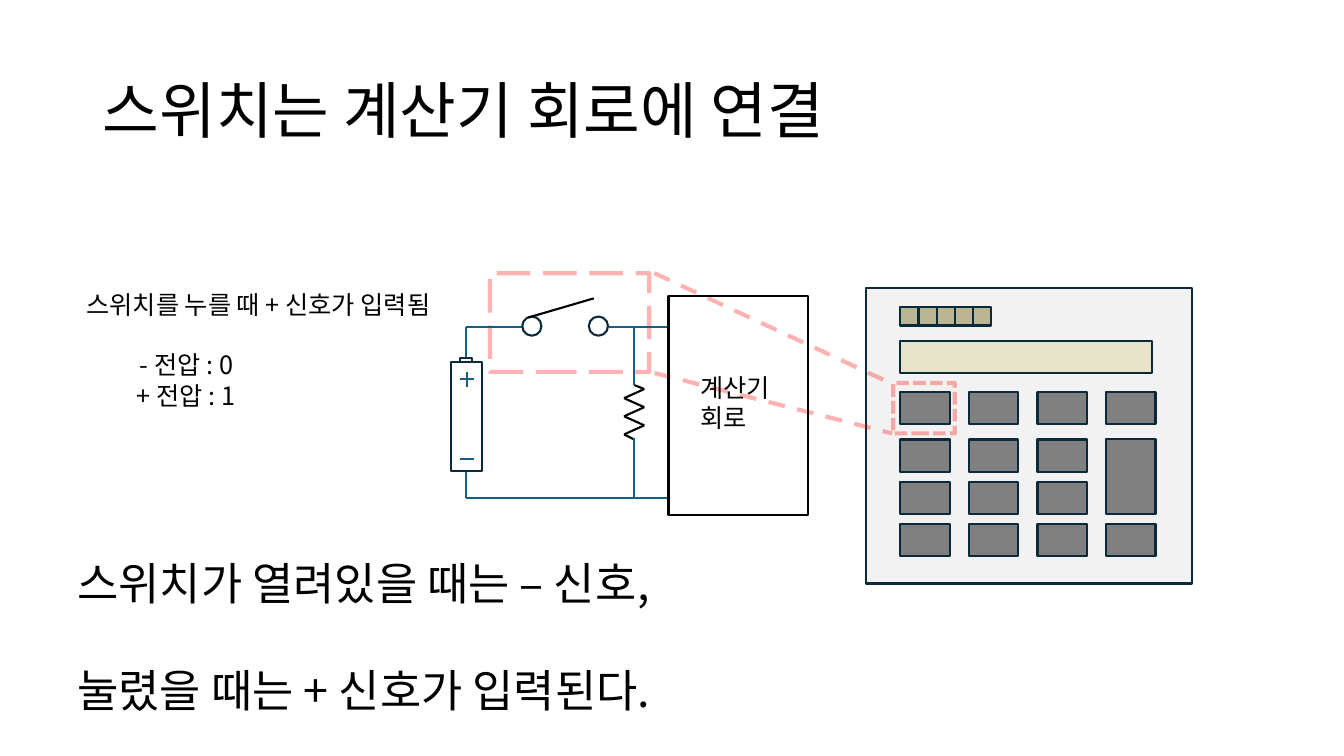
from itertools import pairwise

from lxml import etree
from pptx import Presentation
from pptx import util as u
from pptx.dml import color
from pptx.enum import dml, shapes, text
from pptx.oxml import ns

CELL = u.Inches(0.1)
FONT = "Noto Sans CJK KR"
BLACK, WIRE, OUTLINE, HIGHLIGHT = "000000", "156082", "092A39", "FF0000"
BODY, DISPLAY, KEY, SOLAR = "F2F2F2", "E7E3CB", "808080", "BBB593"


def grid(*cells):
    """Turn counts of grid columns and rows into lengths."""
    return [u.Emu(round(cell * CELL)) for cell in cells]


def paint(target, hex_string):
    """Give a fill or a font a solid colour."""
    if hasattr(target, "solid"):
        target.solid()
        target.fore_color.rgb = color.RGBColor.from_string(hex_string)
    else:
        target.color.rgb = color.RGBColor.from_string(hex_string)


def style_line(line, hex_string, dash=None):
    """Draw a thin solid line, or a thick translucent one when dashed."""
    paint(line.fill, hex_string)
    line.width = u.Pt(3 if dash else 1.5)
    if dash:
        line.dash_style = dash
        tint = line.fill._xPr.find(".//" + ns.qn("a:srgbClr"))
        etree.SubElement(tint, ns.qn("a:alpha"), val="30000")


def add_block(slide, box, outline=OUTLINE, fill=None, dash=None, kind=shapes.MSO_SHAPE.RECTANGLE):
    """Add an outlined preset shape, hollow unless a fill is given."""
    shape = slide.shapes.add_shape(kind, *grid(*box))
    shape.shadow.inherit = False
    if fill:
        paint(shape.fill, fill)
    else:
        shape.fill.background()
    style_line(shape.line, outline, dash)


def add_path(slide, points, hex_string=WIRE, dash=None):
    """Join consecutive points with straight connectors."""
    for start, end in pairwise(points):
        connector = slide.shapes.add_connector(
            shapes.MSO_CONNECTOR.STRAIGHT, *grid(*start, *end))
        style_line(connector.line, hex_string, dash)
        etree.SubElement(connector._element.spPr, ns.qn("a:effectLst"))


def add_text(slide, box, size, lines, anchor=text.MSO_ANCHOR.TOP, spacing=None):
    """Add a text box; each line holds its words, space before and indent."""
    frame = slide.shapes.add_textbox(*grid(*box)).text_frame
    frame.word_wrap = True
    frame.vertical_anchor = anchor
    for index, (words, before, indent) in enumerate(lines):
        paragraph = frame.paragraphs[0] if index == 0 else frame.add_paragraph()
        paragraph.space_before = u.Pt(before)
        paragraph.line_spacing = spacing
        if indent:
            paragraph._p.get_or_add_pPr().set("marL", str(grid(indent)[0]))
        run = paragraph.add_run()
        run.text = words
        run.font.size = u.Pt(size)
        run.font.name = FONT
        paint(run.font, BLACK)
        etree.SubElement(run.font._element, ns.qn("a:ea"), typeface=FONT)


def add_calculator(slide):
    """Draw the calculator with its solar cells, display and keys."""
    add_block(slide, (85.9, 28.6, 32.3, 29.3), fill=BODY)
    for cell in range(5):
        add_block(slide, (89.3 + 1.8 * cell, 30.5, 1.8, 1.8), fill=SOLAR)
    add_block(slide, (89.3, 33.8, 25, 3.2), fill=DISPLAY)
    for row, top in enumerate((38.9, 43.6, 47.8, 52)):
        for column in range(4):
            if (row, column) == (2, 3):
                continue
            height = 7.4 if (row, column) == (1, 3) else 3.2
            add_block(slide, (89.3 + 6.8 * column, top, 4.9, height), fill=KEY)


def add_circuit(slide):
    """Draw the switch, battery, resistor, wires and circuit box."""
    add_path(slide, [(66.4, 32.4), (60.4, 32.4)])
    add_path(slide, [(51.8, 32.4), (46.2, 32.4), (46.2, 35.5)])
    add_path(slide, [(66.4, 49.4), (46.2, 49.4), (46.2, 46.8)])
    for left in (51.8, 58.4):
        add_block(slide, (left, 31.4, 1.9, 1.9), kind=shapes.MSO_SHAPE.OVAL)
    add_path(slide, [(52.4, 31.5), (58.9, 29.6)], BLACK)

    add_block(slide, (66.3, 29.4, 13.8, 21.7), BLACK)
    add_text(slide, (68.5, 36.4, 10.3, 7.1), 18, [("계산기", 0, 0), ("회로", 0, 0)])

    add_block(slide, (44.7, 35.9, 3.1, 10.8))
    add_block(slide, (45.6, 35.5, 1.2, 0.4))
    for y in (37.6, 45.5):
        add_path(slide, [(45.6, y), (47, y)])
    add_path(slide, [(46.3, 36.9), (46.3, 38.4)])

    bends = [(63.9 - 2 * (bend % 2), 38.6 + 0.9 * bend) for bend in range(6)]
    add_path(slide, [(62.9, 38.2), *bends, (62.9, 43.6)], BLACK)
    add_path(slide, [(62.9, 38.2), (62.9, 32.4)])
    add_path(slide, [(62.9, 49.3), (62.9, 43.5)])


def add_highlight(slide):
    """Link one key to the switch with dashed frames and lines."""
    add_block(slide, (88.6, 38, 6.1, 5), HIGHLIGHT, dash=dml.MSO_LINE.SQUARE_DOT)
    add_block(slide, (48.6, 27.1, 15.8, 9.8), HIGHLIGHT, dash=dml.MSO_LINE.LONG_DASH)
    add_path(slide, [(64.9, 27.1), (88.1, 37.9)], HIGHLIGHT, dml.MSO_LINE.DASH)
    add_path(slide, [(64.9, 37), (88.5, 43)], HIGHLIGHT, dml.MSO_LINE.DASH)


def main():
    """Build and save the slide."""
    presentation = Presentation()
    presentation.slide_width = u.Inches(13.33)
    presentation.slide_height = u.Inches(7.5)
    slide = presentation.slides.add_slide(presentation.slide_layouts[6])
    add_text(slide, (9.2, 4, 124.1, 14.5), 44, [("스위치는 계산기 회로에 연결", 0, 0)],
             text.MSO_ANCHOR.MIDDLE, 0.9)
    add_text(slide, (7.6, 28.2, 41, 13.1), 18, [
        ("스위치를 누를 때 + 신호가 입력됨", 0, 0),
        ("- 전압 : 0", 21.6, 5.3),
        ("+ 전압 : 1", 0, 5)])
    add_calculator(slide)
    add_highlight(slide)
    add_circuit(slide)
    add_text(slide, (6.7, 54.6, 79.1, 17.2), 32, [
        ("스위치가 열려있을 때는 – 신호,", 0, 0),
        ("눌렸을 때는 + 신호가 입력된다.", 38.4, 0)])
    presentation.save("out.pptx")


if __name__ == "__main__":
    main()
